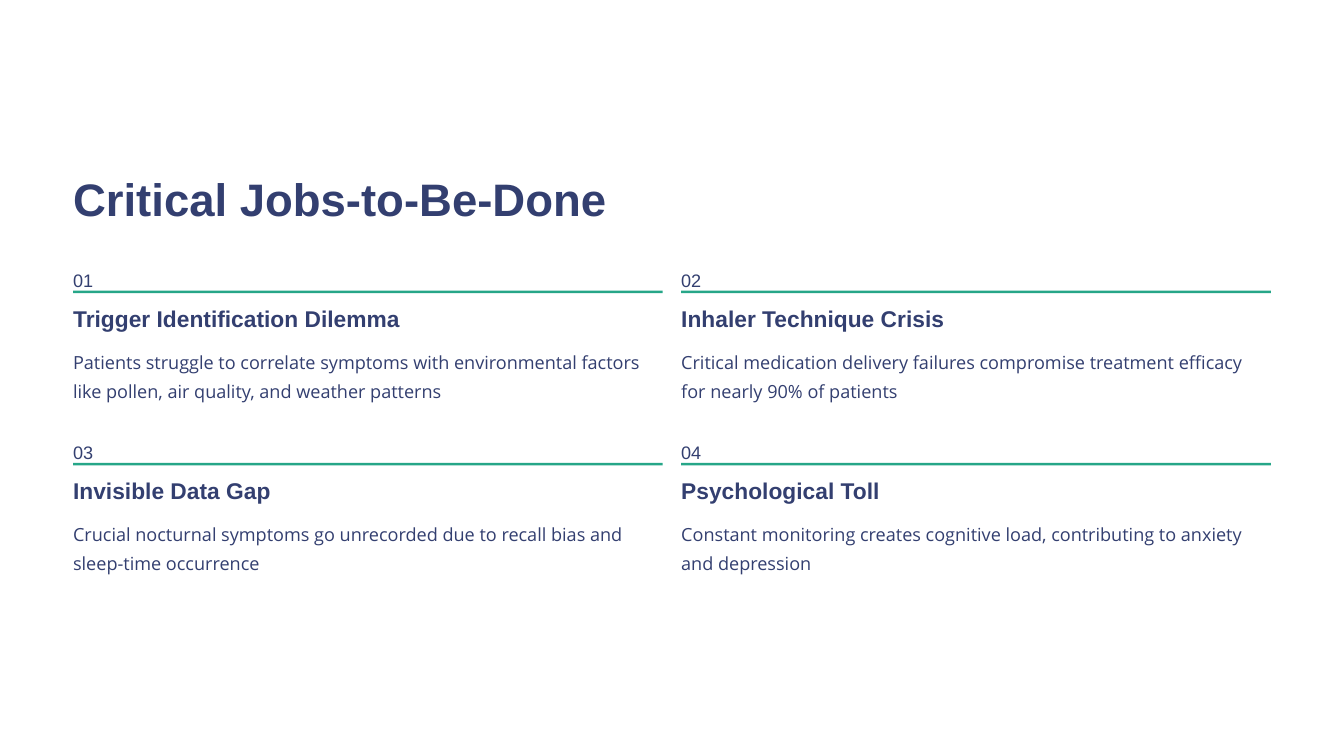
from pptx import Presentation
from pptx.dml.color import RGBColor
from pptx.enum.shapes import MSO_SHAPE
from pptx.enum.text import MSO_ANCHOR, MSO_AUTO_SIZE, PP_ALIGN
from pptx.util import Inches, Pt

# Grid in inches: two columns, two rows
LEFT, TOP = 0.87, 3.12
WIDE, GAP = 7.02, 0.22
PITCH = 2.05


def color(code):
    return RGBColor.from_string(code)


class Page:
    head, body = "Arial", "Open Sans"
    ink, green = "333F70", "26A688"

    def __init__(self, deck):
        self.slide = deck.slides.add_slide(deck.slide_layouts[5])
        fill = self.slide.background.fill
        fill.solid()
        fill.fore_color.rgb = color("FFFFFF")

    def cell(self, col, row):
        return LEFT + col * (WIDE + GAP), TOP + row * PITCH

    def label(self, shape, words, size, lead, font, bold=False, wrap=False):
        frame = shape.text_frame
        frame.margin_left = frame.margin_right = 0
        frame.margin_top = frame.margin_bottom = 0
        frame.auto_size = MSO_AUTO_SIZE.NONE
        frame.vertical_anchor = MSO_ANCHOR.TOP
        frame.word_wrap = wrap
        para = frame.paragraphs[0]
        para.alignment = PP_ALIGN.LEFT
        para.line_spacing = Pt(lead)
        para.space_before = Pt(0)
        run = para.add_run()
        run.text = words
        run.font.name, run.font.size, run.font.bold = font, Pt(size), bold
        run.font.color.rgb = color(self.ink)

    def title(self, words):
        shape = self.slide.shapes.title
        shape.left, shape.top = Inches(LEFT), Inches(2.01)
        shape.width, shape.height = Inches(8.3), Inches(0.68)
        self.label(shape, words, 39, 48.5, self.head, bold=True)

    def text(self, x, y, w, h, words, *style, **flags):
        box = self.slide.shapes.add_textbox(*map(Inches, (x, y, w, h)))
        self.label(box, words, *style, **flags)

    def rule(self, x, y):
        bar = self.slide.shapes.add_shape(
            MSO_SHAPE.RECTANGLE, *map(Inches, (x, y, WIDE, 0.03)))
        bar.shadow.inherit = False
        bar.fill.solid()
        bar.fill.fore_color.rgb = color(self.green)
        bar.line.fill.background()

    def card(self, num, name, note):
        row, col = divmod(num - 1, 2)
        x, y = self.cell(col, row)
        self.text(x, y, 0.22, 0.27, f"{num:02}", 15.5, 25, self.head)
        self.rule(x, y + 0.34)
        self.text(x, y + 0.5, 5.19, 0.34, name, 19.5, 24, self.head, bold=True)
        self.text(x, y + 0.97, WIDE, 0.69, note, 15.5, 25, self.body, wrap=True)


JOBS = [
    ("Trigger Identification Dilemma",
     "Patients struggle to correlate symptoms with environmental factors "
     "like pollen, air quality, and weather patterns"),
    ("Inhaler Technique Crisis",
     "Critical medication delivery failures compromise treatment efficacy "
     "for nearly 90% of patients"),
    ("Invisible Data Gap",
     "Crucial nocturnal symptoms go unrecorded due to recall bias and "
     "sleep-time occurrence"),
    ("Psychological Toll",
     "Constant monitoring creates cognitive load, contributing to anxiety "
     "and depression"),
]


def main():
    deck = Presentation()
    deck.slide_width, deck.slide_height = Inches(16), Inches(9)
    page = Page(deck)

    # Heading
    page.title("Critical Jobs-to-Be-Done")

    # Numbered jobs
    for num, (name, note) in enumerate(JOBS, 1):
        page.card(num, name, note)

    deck.save("out.pptx")


if __name__ == "__main__":
    main()
